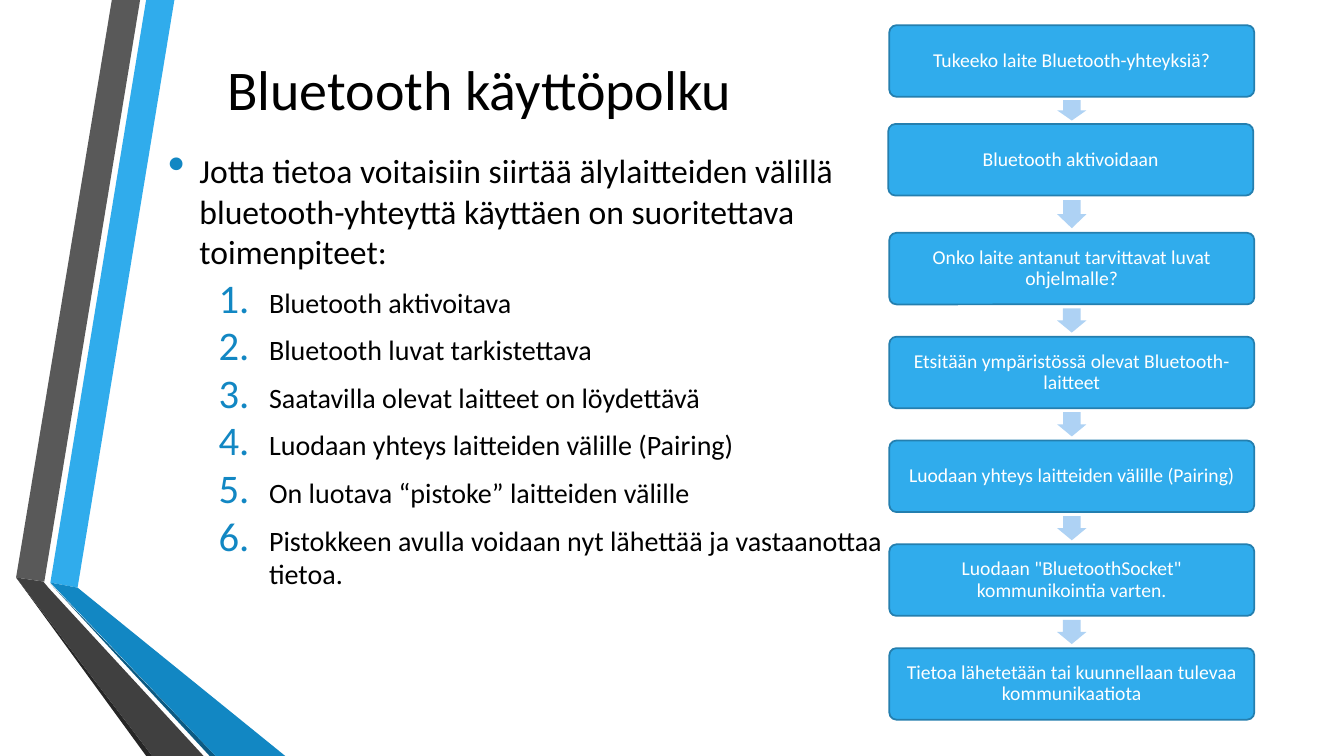
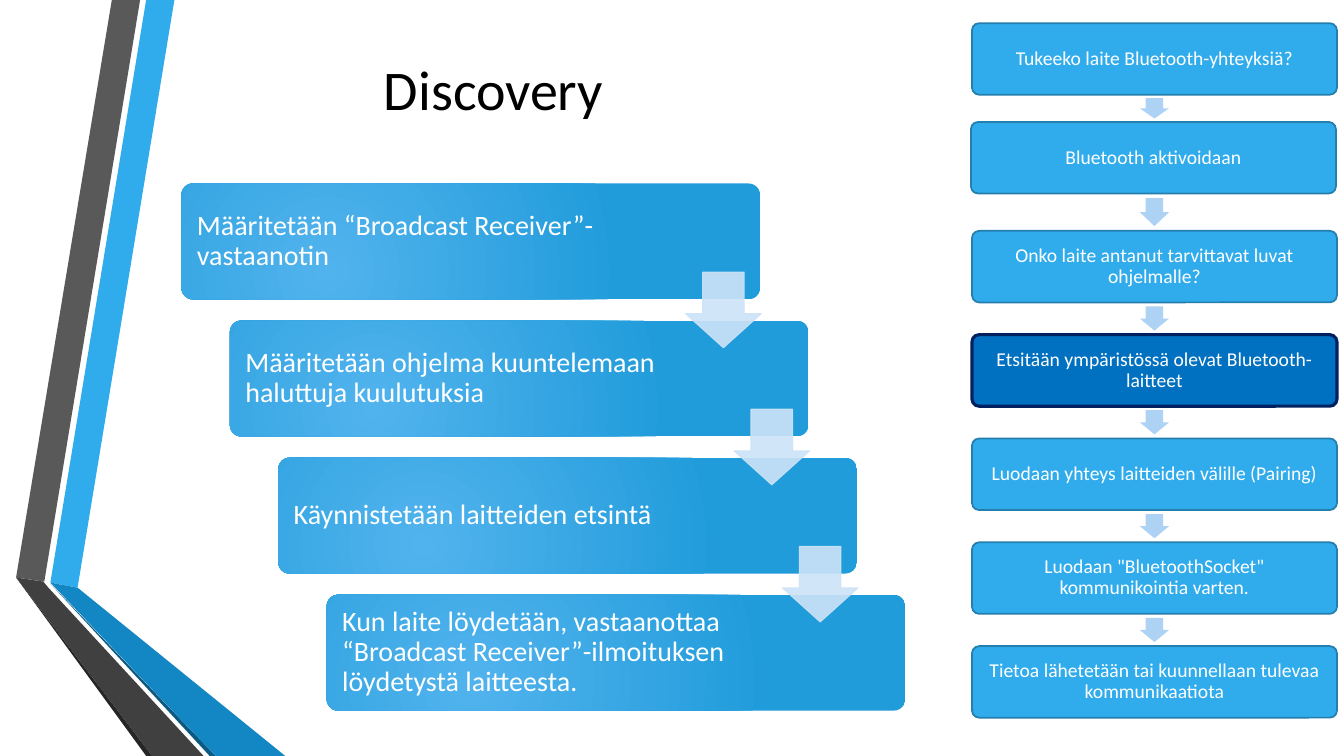
"""Build two slides about the steps of a Bluetooth connection."""
from dataclasses import dataclass
from typing import Any, Optional

from lxml.etree import SubElement
from pptx import Presentation
from pptx.dml.color import RGBColor as Rgb
from pptx.enum.shapes import MSO_SHAPE as Geometry
from pptx.enum.text import MSO_ANCHOR as Anchor, PP_ALIGN as Align
from pptx.oxml import parse_xml
from pptx.oxml.ns import nsdecls, qn
from pptx.shapes.autoshape import Shape
from pptx.slide import Slide
from pptx.util import Inches, Pt

COLORS = {
    "sky": "30ACEC", "ocean": "1287C3", "deep": "0C5A82", "outline": "247FAF",
    "gray": "595959", "charcoal": "404040", "soot": "262626",
    "flow_arrow": "AED2F4", "step_arrow": "CDE3F8",
    "active": "0070C0", "active_outline": "002060",
    "glow": "51B3ED", "step": "219CDB", "white": "FFFFFF", "black": "000000",
}
FONT = "Calibri"


@dataclass(frozen=True)
class Band:
    """One folded ribbon piece at the left edge, with corners in inches."""
    color: str
    corners: tuple[tuple[float, float], ...]


@dataclass(frozen=True)
class Stage:
    """One box of the connection flow, placed relative to the first box."""
    label: str
    drop: float
    shift: float = 0


@dataclass(frozen=True)
class Point:
    """One paragraph of the body text."""
    text: str
    size: int = 20
    level: int = 1
    margin: float = 1
    hanging: float = 0.5
    marker: tuple[str, str, str] = ("a:buAutoNum", "type", "arabicPeriod")


BANDS = (
    Band("sky", ((0.5, 5.78), (0.77, 5.83), (1.73, 0), (1.45, 0))),
    Band("gray", ((1.39, 0), (1.11, 0), (0.16, 5.73), (0.44, 5.77))),
    Band("soot", ((0.16, 5.73), (1.45, 7.5), (1.51, 7.5))),
    Band("deep", ((0.5, 5.79), (2.08, 7.5), (2.14, 7.5))),
    Band("ocean", ((0.5, 5.78), (2.14, 7.5), (2.83, 7.5), (0.77, 5.83))),
    Band("charcoal", ((2.02, 7.5), (0.48, 5.83), (0.43, 5.77),
                      (0.16, 5.73), (1.51, 7.5))),
)
STAGES = (
    Stage("Tukeeko laite Bluetooth-yhteyksiä?", 0),
    Stage("Bluetooth aktivoidaan", 0.98, -0.01),
    Stage("Onko laite antanut tarvittavat luvat ohjelmalle?", 2.06),
    Stage("Etsitään ympäristössä olevat Bluetooth-laitteet", 3.09),
    Stage("Luodaan yhteys laitteiden välille (Pairing)", 4.12),
    Stage('Luodaan "BluetoothSocket" kommunikointia varten.', 5.15),
    Stage("Tietoa lähetetään tai kuunnellaan tulevaa kommunikaatiota", 6.18),
)
POINTS = (
    Point("Jotta tietoa voitaisiin siirtää älylaitteiden välillä "
          "bluetooth-yhteyttä käyttäen on suoritettava toimenpiteet:",
          24, 0, 0.31, 0.31, ("a:buChar", "char", "•")),
    Point("Bluetooth aktivoitava"),
    Point("Bluetooth luvat tarkistettava"),
    Point("Saatavilla olevat laitteet on löydettävä"),
    Point("Luodaan yhteys laitteiden välille (Pairing)"),
    Point("On luotava “pistoke” laitteiden välille"),
    Point("Pistokkeen avulla voidaan nyt lähettää ja vastaanottaa tietoa."),
)
DISCOVERY_STEPS = (
    "Määritetään “Broadcast Receiver”-vastaanotin",
    "Määritetään ohjelma kuuntelemaan haluttuja kuulutuksia",
    "Käynnistetään laitteiden etsintä",
    "Kun laite löydetään, vastaanottaa “Broadcast Receiver”-ilmoituksen "
    "löydetystä laitteesta.",
)
STAGE_WIDTH, STAGE_HEIGHT = 3.62, 0.71
STEP_WIDTH, STEP_HEIGHT = 5.74, 1.15
STEP_RIGHT, STEP_DOWN = 0.48, 1.36
STAGE_FRAME = {"word_wrap": True, "vertical_anchor": Anchor.MIDDLE,
               "margin_left": Inches(0.08), "margin_right": Inches(0.08),
               "margin_top": Inches(0.08), "margin_bottom": Inches(0.08)}
STEP_FRAME = STAGE_FRAME | {"margin_left": Inches(0.12),
                            "margin_right": Inches(1.34)}
STAGE_PARAGRAPH = {"alignment": Align.CENTER, "line_spacing": 0.9}
STEP_PARAGRAPH = {"alignment": Align.LEFT, "line_spacing": 0.9}


def apply_format(target: Any, values: dict[str, Any]) -> None:
    """Set every named value on the target."""
    for name, value in values.items():
        setattr(target, name, value)


def write(paragraph: Any, text: str, size: int, color: str) -> None:
    """Add one run in the shared font."""
    run = paragraph.add_run()
    run.text = text
    apply_format(run.font, {"name": FONT, "size": Pt(size)})
    run.font.color.rgb = Rgb.from_string(COLORS[color])


def paint(shape: Shape, fill: Optional[str], outline: Optional[str] = None,
          weight: float = 1.25) -> None:
    """Give a shape a flat fill and an optional outline, without shadow."""
    shape.shadow.inherit = False
    if fill:
        shape.fill.solid()
        shape.fill.fore_color.rgb = Rgb.from_string(COLORS[fill])
    if outline:
        shape.line.color.rgb = Rgb.from_string(COLORS[outline])
        shape.line.width = Pt(weight)
    else:
        shape.line.fill.background()


def add_preset(slide: Slide, geometry: Geometry, left: float, top: float,
               width: float, height: float, *adjustments: float) -> Shape:
    """Add a preset shape with its adjustments."""
    shape = slide.shapes.add_shape(geometry, Inches(left), Inches(top),
                                   Inches(width), Inches(height))
    for index, value in enumerate(adjustments):
        shape.adjustments[index] = value
    return shape


def fill_label(shape: Shape, text: str, size: int, frame: dict[str, Any],
               layout: dict[str, Any]) -> None:
    """Write a white label inside a shape."""
    apply_format(shape.text_frame, frame)
    paragraph = shape.text_frame.paragraphs[0]
    apply_format(paragraph, layout)
    write(paragraph, text, size, "white")


def draw_bands(slide: Slide) -> None:
    """Draw the folded ribbons at the left edge."""
    for band in BANDS:
        first, *rest = [(Inches(x), Inches(y)) for x, y in band.corners]
        outline = slide.shapes.build_freeform(*first)
        outline.add_line_segments(rest, close=True)
        paint(outline.convert_to_shape(), band.color)


def draw_title(slide: Slide, text: str, width: float) -> None:
    """Write the centred slide title."""
    title = slide.shapes.add_textbox(Inches(1.8), Inches(0.36),
                                     Inches(width), Inches(1.02))
    apply_format(title.text_frame,
                 {"word_wrap": True, "vertical_anchor": Anchor.MIDDLE})
    paragraph = title.text_frame.paragraphs[0]
    paragraph.alignment = Align.CENTER
    write(paragraph, text, 40, "black")


def draw_flow(slide: Slide, left: float, top: float,
              active: Optional[int] = None) -> None:
    """Draw the connection flow, with an arrow centred in every gap."""
    for index, stage in enumerate(STAGES):
        box = add_preset(slide, Geometry.ROUNDED_RECTANGLE, left + stage.shift,
                         top + stage.drop, STAGE_WIDTH, STAGE_HEIGHT, 0.1)
        if index == active:
            paint(box, "active", "active_outline", 2.25)
        else:
            paint(box, "sky", "outline")
        fill_label(box, stage.label, 14, STAGE_FRAME, STAGE_PARAGRAPH)
    for upper, lower in zip(STAGES, STAGES[1:]):
        gap = lower.drop - upper.drop - STAGE_HEIGHT
        length, breadth = 0.75 * gap, 0.29
        arrow = add_preset(slide, Geometry.RIGHT_ARROW,
                           left + (STAGE_WIDTH - length) / 2,
                           top + lower.drop - (gap + breadth) / 2,
                           length, breadth, 0.6, 0.5)
        arrow.rotation = 90
        paint(arrow, "flow_arrow")


def draw_points(slide: Slide) -> None:
    """Write the introduction and its numbered steps."""
    body = slide.shapes.add_textbox(Inches(1.57), Inches(1.44),
                                    Inches(7.29), Inches(5.71))
    body.text_frame.word_wrap = True
    for index, point in enumerate(POINTS):
        paragraph = (body.text_frame.add_paragraph() if index
                     else body.text_frame.paragraphs[0])
        write(paragraph, point.text, point.size, "black")
        properties = paragraph._p.get_or_add_pPr()
        properties.set("marL", str(Inches(point.margin)))
        properties.set("indent", str(-Inches(point.hanging)))
        before = SubElement(properties, qn("a:spcBef"))
        SubElement(before, qn("a:spcPct"), val="20000")
        bullet_color = SubElement(properties, qn("a:buClr"))
        SubElement(bullet_color, qn("a:srgbClr"), val=COLORS["ocean"])
        SubElement(properties, qn("a:buSzPct"), val="145000")
        tag, attribute, value = point.marker
        SubElement(properties, qn(tag)).set(attribute, value)
        apply_format(paragraph, {"level": point.level, "space_after": Pt(6)})


def add_glow(shape: Shape) -> None:
    """Fill a shape with the circular step gradient."""
    gradient = parse_xml(
        f'<a:gradFill {nsdecls("a")} rotWithShape="1"><a:gsLst>'
        f'<a:gs pos="0"><a:srgbClr val="{COLORS["glow"]}"/></a:gs>'
        f'<a:gs pos="100000"><a:srgbClr val="{COLORS["step"]}"/></a:gs>'
        '</a:gsLst><a:path path="circle"><a:fillToRect l="50000" t="100000" '
        'r="100000" b="50000"/></a:path></a:gradFill>')
    shape._element.spPr.find(qn("a:prstGeom")).addnext(gradient)


def draw_discovery(slide: Slide) -> None:
    """Draw the staircase of discovery steps and its arrows."""
    for index, text in enumerate(DISCOVERY_STEPS):
        step = add_preset(slide, Geometry.ROUNDED_RECTANGLE,
                          1.8 + index * STEP_RIGHT, 1.82 + index * STEP_DOWN,
                          STEP_WIDTH, STEP_HEIGHT, 0.1)
        paint(step, None)
        add_glow(step)
        fill_label(step, text, 20, STEP_FRAME, STEP_PARAGRAPH)
    for index in range(len(DISCOVERY_STEPS) - 1):
        arrow = add_preset(slide, Geometry.DOWN_ARROW,
                           6.8 + index * STEP_RIGHT, 2.7 + index * STEP_DOWN,
                           0.75, 0.75, 0.55, 0.45)
        paint(arrow, "step_arrow", "step_arrow", 0.75)
        for tint in arrow._element.spPr.iter(qn("a:srgbClr")):
            SubElement(tint, qn("a:alpha"), val="90000")


def main() -> None:
    """Build and save the presentation."""
    deck = Presentation()
    apply_format(deck, {"slide_width": Inches(13.33),
                        "slide_height": Inches(7.5)})
    blank = deck.slide_layouts[6]

    usage = deck.slides.add_slide(blank)
    draw_bands(usage)
    draw_title(usage, "Bluetooth käyttöpolku", 5.91)
    draw_flow(usage, 8.82, 0.25)
    draw_points(usage)

    discovery = deck.slides.add_slide(blank)
    draw_bands(discovery)
    draw_title(discovery, "Discovery", 6.19)
    draw_flow(discovery, 9.64, 0.23, active=3)
    draw_discovery(discovery)

    deck.save("out.pptx")


main()
